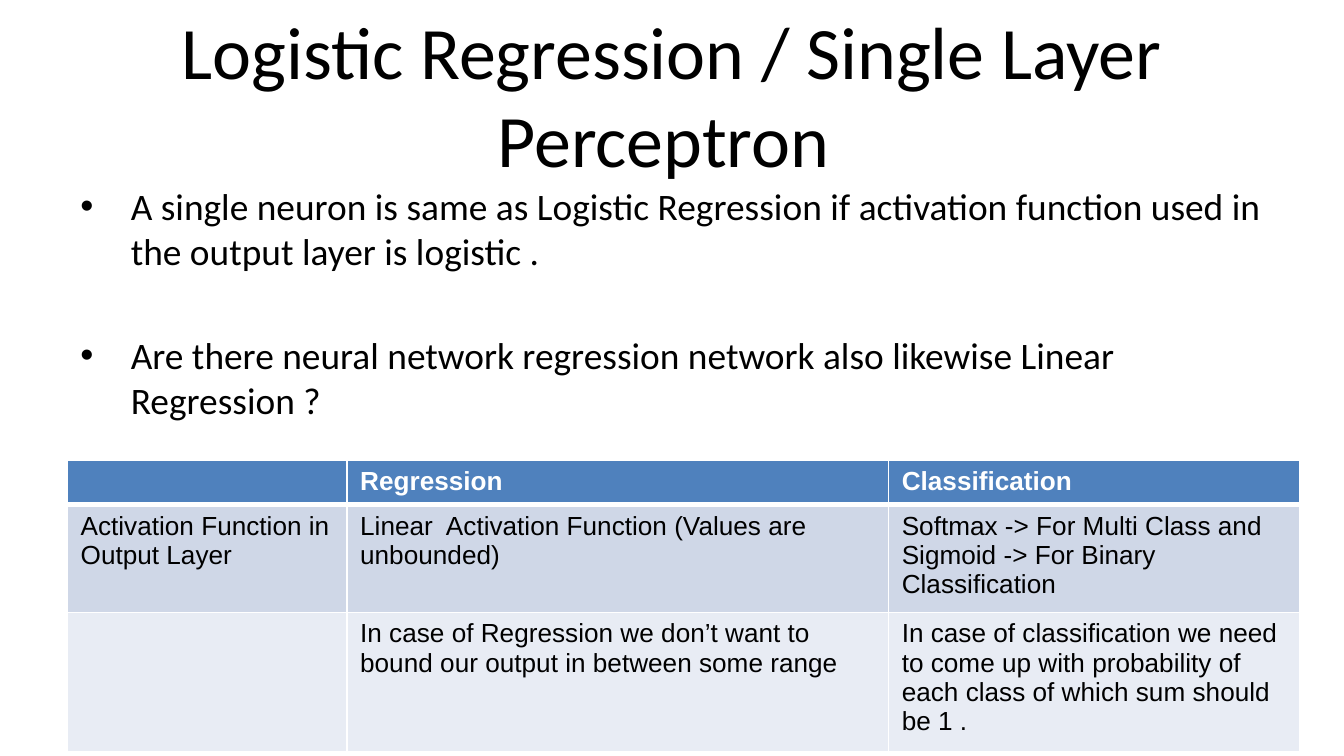
from lxml import etree
from pptx import Presentation
from pptx.dml.color import RGBColor
from pptx.enum.text import MSO_ANCHOR, PP_ALIGN
from pptx.oxml.ns import qn
from pptx.util import Pt

CENTER, LEFT = PP_ALIGN.CENTER, PP_ALIGN.LEFT
MIDDLE, TOP = MSO_ANCHOR.MIDDLE, MSO_ANCHOR.TOP

BLACK, WHITE = "000000", "FFFFFF"
TITLE = "Logistic Regression / Single Layer Perceptron "
BULLETS = [
    "A single neuron is same as Logistic Regression if activation function "
    "used in the output layer is logistic .",
    "Are there neural network regression network also likewise Linear Regression ?",
]
BULLET_GAP = 32
BULLET_INDENT = 27

# Each cell is a list of paragraphs.
ROWS = [
    [[], ["Regression"], ["Classification"]],
    [
        ["Activation Function in Output Layer"],
        ["Linear  Activation Function (Values are unbounded)"],
        ["Softmax -> For Multi Class and", "Sigmoid -> For Binary Classification"],
    ],
    [
        [],
        ["In case of Regression we don’t want to bound our output in between some range"],
        ["In case of classification we need to come up with probability of each "
         "class of which sum should be 1 ."],
    ],
]
ROW_FILLS = ["4F81BD", "CFD7E7", "E8ECF4"]
COLUMN_WIDTHS = [149.76, 290.16, 220.32]
ROW_HEIGHT = 21.6
CELL_SIZE = 14


def color(value):
    return RGBColor.from_string(value)


def add_span(para, text, font, size, fill=BLACK, bold=False):
    span = para.add_run()
    span.text = text
    span.font.name = font
    span.font.size = Pt(size)
    span.font.bold = bold
    span.font.color.rgb = color(fill)


def add_box(page, left, top, width, height, anchor):
    box = page.shapes.add_textbox(Pt(left), Pt(top), Pt(width), Pt(height))
    frame = box.text_frame
    frame.word_wrap = True
    frame.vertical_anchor = anchor
    return frame


def paragraphs(frame, count):
    """Return the first paragraph of the frame and as many new ones as needed."""
    return [frame.paragraphs[0]] + [frame.add_paragraph() for _ in range(count - 1)]


def add_bullet(para):
    properties = para._p.get_or_add_pPr()
    properties.set("marL", str(Pt(BULLET_INDENT)))
    properties.set("indent", str(-Pt(BULLET_INDENT)))
    etree.SubElement(properties, qn("a:buFont")).set("typeface", "Arial")
    etree.SubElement(properties, qn("a:buChar")).set("char", "•")


def add_border(cell, side, width):
    line = etree.SubElement(cell._tc.get_or_add_tcPr(), qn(f"a:ln{side}"), w=str(Pt(width)))
    fill = etree.SubElement(line, qn("a:solidFill"))
    etree.SubElement(fill, qn("a:srgbClr"), val=WHITE)


def fill_cell(cell, texts, row):
    header = row == 0
    borders = {"L": 1, "R": 1, "T": 3 if row == 1 else 1, "B": 3 if header else 1}
    for side, width in borders.items():
        add_border(cell, side, width)
    cell.fill.solid()
    cell.fill.fore_color.rgb = color(ROW_FILLS[row])
    cell.margin_left = cell.margin_right = Pt(7.2)
    cell.margin_top = cell.margin_bottom = Pt(3.6)
    for para, text in zip(paragraphs(cell.text_frame, len(texts)), texts):
        add_span(para, text, "Arial", CELL_SIZE, WHITE if header else BLACK, header)
    if not texts:  # keeps an empty cell from raising the row
        mark = cell.text_frame.paragraphs[0]._p.get_or_add_endParaRPr()
        mark.set("sz", str(CELL_SIZE * 100))


deck = Presentation()
deck.slide_width, deck.slide_height = Pt(720), Pt(405)
page = deck.slides.add_slide(deck.slide_layouts[6])

title = add_box(page, 36, 16.5, 648, 67.5, MIDDLE).paragraphs[0]
title.alignment = CENTER
add_span(title, TITLE, "Calibri", 39.6)

body = add_box(page, 36, 94.5, 648, 267, TOP)
for index, (para, text) in enumerate(zip(paragraphs(body, len(BULLETS)), BULLETS)):
    para.alignment = LEFT
    para.space_before = Pt(BULLET_GAP if index else 0)
    add_bullet(para)
    add_span(para, text, "Calibri", 20)

table = page.shapes.add_table(
    len(ROWS), len(COLUMN_WIDTHS), Pt(36), Pt(246.4),
    Pt(sum(COLUMN_WIDTHS)), Pt(ROW_HEIGHT * len(ROWS)),
).table
table.horz_banding = False
for column, width in zip(table.columns, COLUMN_WIDTHS):
    column.width = Pt(width)
for row, cells in enumerate(ROWS):
    table.rows[row].height = Pt(ROW_HEIGHT)
    for column, texts in enumerate(cells):
        fill_cell(table.cell(row, column), texts, row)

deck.save("out.pptx")
